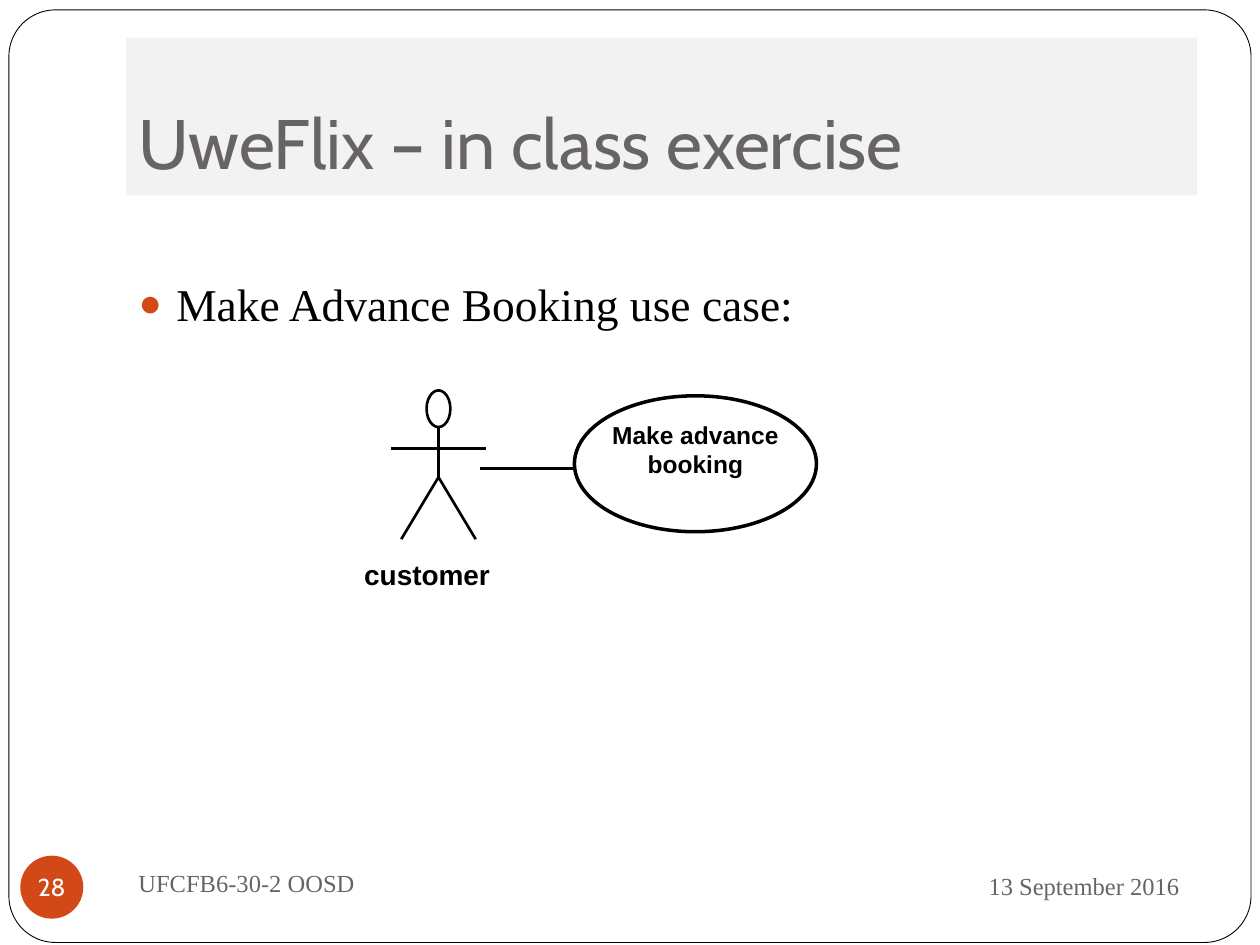
from dataclasses import dataclass

from lxml.etree import SubElement as Sub
from pptx import Presentation
from pptx.dml.color import RGBColor as RGB
from pptx.enum.shapes import MSO_CONNECTOR as CONN, MSO_SHAPE as SHAPE
from pptx.enum.text import MSO_ANCHOR as ANCHOR, MSO_AUTO_SIZE as AUTO, PP_ALIGN as ALIGN
from pptx.oxml.ns import qn
from pptx.util import Cm, Pt


@dataclass(frozen=True)
class Theme:
    ink: RGB = RGB(0x00, 0x00, 0x00)
    grey: RGB = RGB(0x69, 0x64, 0x64)
    band: RGB = RGB(0xF2, 0xF2, 0xF2)
    paper: RGB = RGB(0xFF, 0xFF, 0xFF)
    accent: RGB = RGB(0xD3, 0x48, 0x17)
    heading: str = "Cabin"
    serif: str = "Times New Roman"
    sans: str = "Arial"
    title_size: int = 40
    body_size: int = 26
    label_size: int = 16
    small_size: int = 14
    hairline: float = 0.5
    thin: float = 1.5
    thick: float = 2


class Deck:
    def __init__(self, prs, theme):
        self.t = theme
        self.s = prs.slides.add_slide(prs.slide_layouts[1])

    def place(self, sp, box):
        sp.left, sp.top, sp.width, sp.height = map(Cm, box)

    def fill_text(self, sp, lines, font, size, color, align=ALIGN.LEFT,
                  anchor=ANCHOR.MIDDLE, bold=False, wrap=True):
        tf = sp.text_frame
        tf.auto_size = AUTO.NONE
        tf.word_wrap = wrap
        tf.vertical_anchor = anchor
        for i, line in enumerate(lines):
            p = tf.add_paragraph() if i else tf.paragraphs[0]
            p.alignment = align
            p.space_before = Pt(0)
            r = p.add_run()
            r.text = line
            r.font.name = font
            r.font.size = Pt(size)
            r.font.bold = bold
            r.font.color.rgb = color
        return tf

    def title(self, text, box):
        sp = self.s.shapes.title
        self.place(sp, box)
        sp.fill.solid()
        sp.fill.fore_color.rgb = self.t.band
        tf = self.fill_text(sp, [text], self.t.heading, self.t.title_size,
                            self.t.grey, anchor=ANCHOR.BOTTOM)
        tf.margin_bottom = Cm(0.25)

    def bullets(self, lines, box, top):
        sp = self.s.placeholders[1]
        self.place(sp, box)
        tf = self.fill_text(sp, lines, self.t.serif, self.t.body_size,
                            self.t.ink, anchor=ANCHOR.TOP)
        tf.margin_top = Cm(top)
        for p in tf.paragraphs:
            pPr = p._p.get_or_add_pPr()
            pPr.set("marL", str(Cm(0.76)))
            pPr.set("indent", str(-Cm(0.76)))
            Sub(Sub(pPr, qn("a:buClr")), qn("a:srgbClr"), val=str(self.t.accent))
            Sub(pPr, qn("a:buSzPct"), val="85000")
            Sub(pPr, qn("a:buChar"), char="●")

    def outline(self, sp, width, fill=None):
        sp.shadow.inherit = False
        if fill is None:
            sp.fill.background()
        else:
            sp.fill.solid()
            sp.fill.fore_color.rgb = fill
        if width:
            sp.line.color.rgb = self.t.ink
            sp.line.width = Pt(width)
        else:
            sp.line.fill.background()
        return sp

    def shape(self, kind, box, width=0, fill=None):
        sp = self.s.shapes.add_shape(kind, *map(Cm, box))
        return self.outline(sp, width, fill)

    def frame(self, box):
        sp = self.shape(SHAPE.ROUNDED_RECTANGLE, box, self.t.hairline, self.t.paper)
        sp.adjustments[0] = 0.05
        self.s.shapes.title._element.addprevious(sp._element)

    def line(self, start, end, width):
        c = self.s.shapes.add_connector(CONN.STRAIGHT, *map(Cm, start + end))
        c.line.color.rgb = self.t.ink
        c.line.width = Pt(width)
        Sub(c._element.spPr, qn("a:effectLst"))

    def polyline(self, points, width):
        first, *rest = [(Cm(x), Cm(y)) for x, y in points]
        fb = self.s.shapes.build_freeform(*first)
        fb.add_line_segments(rest, close=False)
        self.outline(fb.convert_to_shape(), width)

    def text(self, text, box, font, size, color, **style):
        sp = self.s.shapes.add_textbox(*map(Cm, box))
        self.fill_text(sp, [text], font, size, color, **style)

    def use_case(self, lines, box):
        sp = self.shape(SHAPE.OVAL, box, self.t.thick)
        tf = self.fill_text(sp, lines, self.t.sans, self.t.small_size, self.t.ink,
                            align=ALIGN.CENTER, bold=True, wrap=False)
        tf.margin_bottom = Cm(0.7)

    def actor(self, name, x, top):
        hip, foot = top + 1.75, top + 3
        self.shape(SHAPE.OVAL, (x - 0.24, top, 0.48, 0.74), self.t.thin)
        self.line((x, top + 0.74), (x, hip), self.t.thin)
        self.line((x - 0.96, top + 1.17), (x + 0.96, top + 1.17), self.t.thin)
        self.polyline([(x - 0.75, foot), (x, hip), (x + 0.75, foot)], self.t.thin)
        self.text(name, (x - 1.78, top + 3.28, 3.1, 0.86), self.t.sans,
                  self.t.label_size, self.t.ink, align=ALIGN.CENTER,
                  bold=True, wrap=False)

    def footer(self, text, box, align=ALIGN.LEFT):
        self.text(text, box, self.t.serif, self.t.small_size, self.t.grey, align=align)

    def badge(self, text, box):
        sp = self.shape(SHAPE.OVAL, box, fill=self.t.accent)
        tf = self.fill_text(sp, [text], self.t.heading, self.t.small_size,
                            self.t.paper, align=ALIGN.CENTER, wrap=False)
        tf.margin_left = tf.margin_right = tf.margin_top = tf.margin_bottom = 0


def main():
    prs = Presentation()
    prs.slide_width, prs.slide_height = Cm(25.4), Cm(19.05)
    theme = Theme()
    d = Deck(prs, theme)
    d.frame((0.18, 0.2, 25.04, 18.8))
    d.title("UweFlix – in class exercise", (2.54, 0.76, 21.59, 3.18))
    d.bullets(["Make Advance Booking use case:"], (2.54, 4.01, 21.59, 12.7), top=1.55)
    d.use_case(["Make advance", "booking"], (11.58, 7.98, 4.88, 2.74))
    d.actor("customer", 8.84, 7.87)
    d.line((11.58, 9.45), (9.68, 9.45), theme.thick)
    d.footer("13 September 2016", (17.15, 17.2, 6.88, 1.32), ALIGN.RIGHT)
    d.footer("UFCFB6-30-2 OOSD", (2.54, 17.15, 11, 1.27))
    d.badge("28", (0.41, 17.25, 1.27, 1.27))
    prs.save("out.pptx")


if __name__ == "__main__":
    main()
